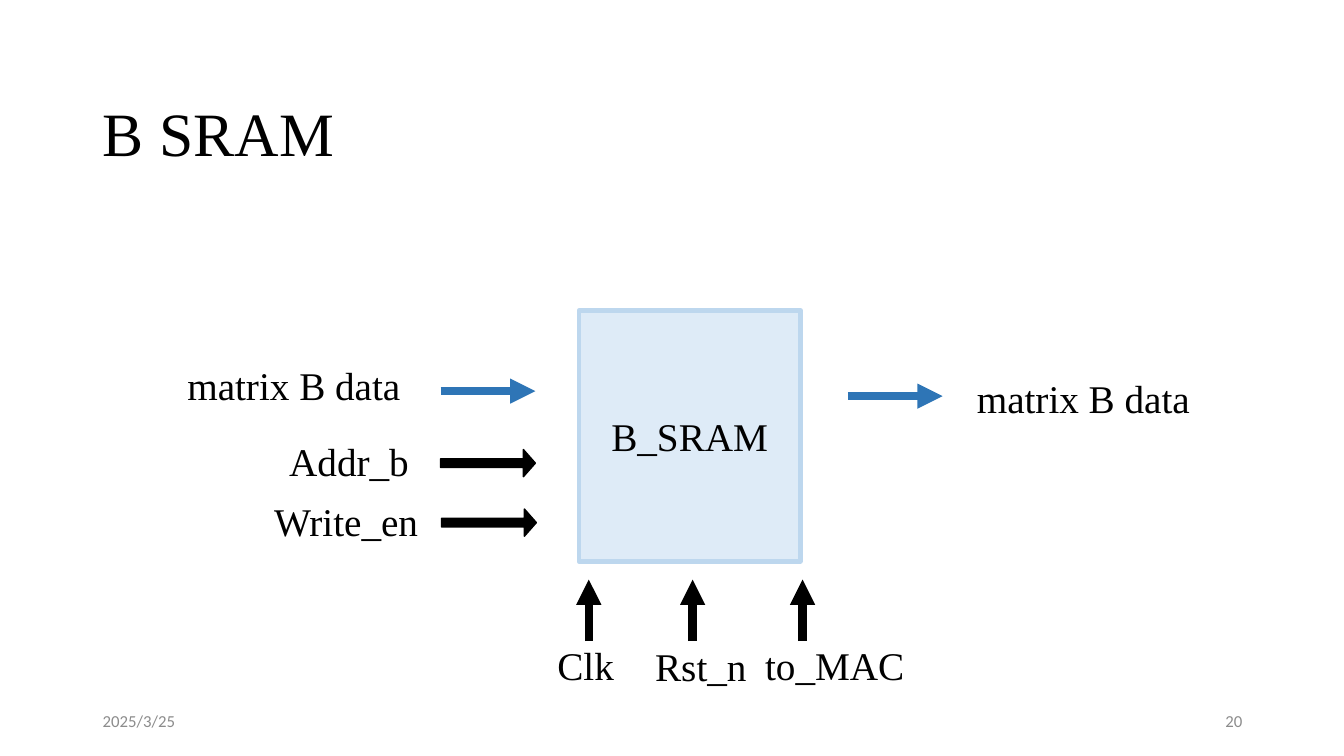
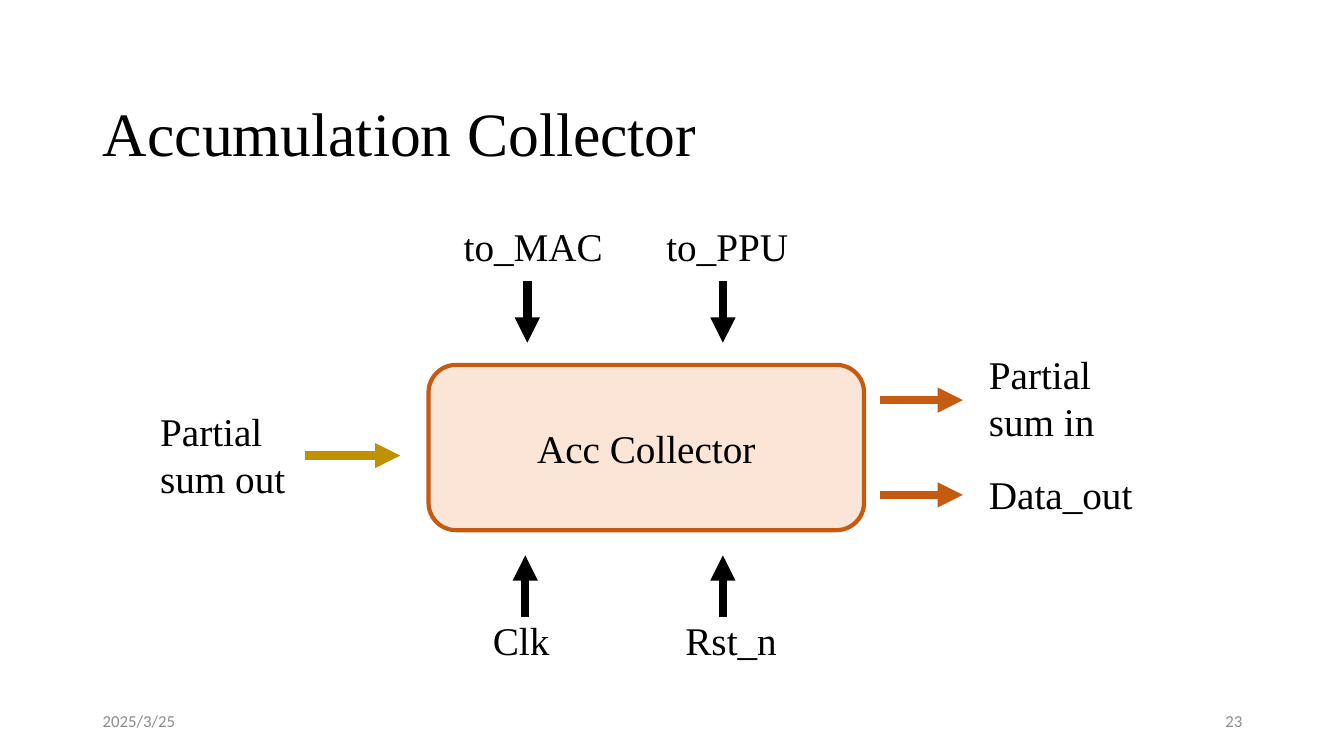
import pptx
import pptx.dml.color
import pptx.enum.shapes
import pptx.enum.text
import pptx.oxml.ns
import pptx.util
from lxml import etree

SHAPE = pptx.enum.shapes.MSO_SHAPE
ANCHOR = pptx.enum.text.MSO_ANCHOR
ALIGN = pptx.enum.text.PP_ALIGN

EMU_PER_PX = 9144
SERIF, SANS = "Times New Roman", "Calibri"
BLACK, GREY = "000000", "8C8C8C"
BLUE, ORANGE, GOLD = "2E75B6", "C55A11", "BF9000"
PALE_BLUE, LIGHT_BLUE, PALE_ORANGE = "DEEBF7", "BDD7EE", "FBE5D6"


def px(*lengths):
    return [pptx.util.Emu(length * EMU_PER_PX) for length in lengths]


def color(hex_string):
    return pptx.dml.color.RGBColor.from_string(hex_string)


class Deck:
    """Holds the shared style and draws elements on the current slide."""

    def __init__(self):
        self.presentation = pptx.Presentation()
        self.presentation.slide_width, self.presentation.slide_height = px(1333, 750)
        self.slide = None

    def set_text(self, shape, text, size=28, font=SERIF, ink=BLACK,
                 align=ALIGN.LEFT, anchor=ANCHOR.TOP):
        frame = shape.text_frame
        frame.text = text
        frame.word_wrap = True
        frame.auto_size = pptx.enum.text.MSO_AUTO_SIZE.NONE
        frame.vertical_anchor = anchor
        paragraph = frame.paragraphs[0]
        paragraph.alignment = align
        paragraph.font.size = pptx.util.Pt(size)
        paragraph.font.name = font
        paragraph.font.color.rgb = color(ink)
        return paragraph

    def add_slide(self, title, number):
        layout = self.presentation.slide_layouts.get_by_name("Title Only")
        self.slide = self.presentation.slides.add_slide(layout)
        shape = self.slide.shapes.title
        shape.left, shape.top, shape.width, shape.height = px(92, 40, 1150, 145)
        paragraph = self.set_text(shape, title, 44, anchor=ANCHOR.MIDDLE)
        paragraph.line_spacing = 1.5
        self.footer("2025/3/25", 92, ALIGN.LEFT)
        self.footer(str(number), 942, ALIGN.RIGHT)

    def footer(self, text, left, align):
        shape = self.slide.shapes.add_textbox(*px(left, 695, 300, 40))
        self.set_text(shape, text, 12, SANS, GREY, align, ANCHOR.MIDDLE)

    def label(self, text, left, top, width, height=57):
        shape = self.slide.shapes.add_textbox(*px(left, top, width, height))
        self.set_text(shape, text)

    def shape(self, kind, box, fill, line, line_width):
        shape = self.slide.shapes.add_shape(kind, *px(*box))
        shape.shadow.inherit = False
        shape.fill.solid()
        shape.fill.fore_color.rgb = color(fill)
        shape.line.color.rgb = color(line)
        shape.line.width = pptx.util.Pt(line_width)
        return shape

    def module(self, text, kind, box, fill, line):
        shape = self.shape(kind, box, fill, line, 3)
        self.set_text(shape, text, align=ALIGN.CENTER, anchor=ANCHOR.MIDDLE)

    def block_arrow(self, left, top):
        shape = self.shape(SHAPE.RIGHT_ARROW, (left, top, 94, 27), BLACK, BLACK, 1)
        shape.adjustments[0], shape.adjustments[1] = 0.32, 0.44

    def arrow(self, start, end, ink=BLACK):
        connector = self.slide.shapes.add_connector(
            pptx.enum.shapes.MSO_CONNECTOR.STRAIGHT, *px(*start, *end))
        connector.line.color.rgb = color(ink)
        connector.line.width = pptx.util.Pt(6)
        qn = pptx.oxml.ns.qn
        etree.SubElement(connector.get_or_add_ln(), qn("a:tailEnd"), type="triangle")
        etree.SubElement(connector.element.spPr, qn("a:effectLst"))

    def right_arrow(self, left, y, length, ink):
        self.arrow((left, y), (left + length, y), ink)

    def down_arrow(self, x, top):
        self.arrow((x, top), (x, top + 61))

    def up_arrow(self, x, top):
        self.arrow((x, top + 61), (x, top))


def build_sram(deck):
    deck.add_slide("B SRAM", 20)
    deck.module("B_SRAM", SHAPE.RECTANGLE, (574, 308, 220, 249), PALE_BLUE, LIGHT_BLUE)

    deck.label("matrix B data", 176, 354, 253)
    deck.right_arrow(437, 388, 94, BLUE)
    deck.label("matrix B data", 959, 366, 246)
    deck.right_arrow(841, 393, 94, BLUE)

    for text, left, top, arrow_left in (("Addr_b", 277, 429, 437),
                                        ("Write_en", 262, 488, 438)):
        deck.label(text, left, top, 186)
        deck.block_arrow(arrow_left, top + 17)

    for text, left, top, width, x in (("Clk", 543, 631, 86, 584),
                                      ("Rst_n", 640, 632, 124, 687),
                                      ("to_MAC", 749, 631, 162, 796)):
        deck.label(text, left, top, width)
        deck.up_arrow(x, 575)


def build_collector(deck):
    deck.add_slide("Accumulation Collector", 23)
    deck.module("Acc Collector", SHAPE.ROUNDED_RECTANGLE, (425, 362, 432, 164),
                PALE_ORANGE, ORANGE)

    deck.label("Partial sum out", 149, 399, 174, 104)
    deck.right_arrow(303, 452, 94, GOLD)

    deck.label("Partial sum in", 971, 343, 147, 104)
    deck.label("Data_out", 971, 462, 185)
    for y in (397, 491):
        deck.right_arrow(873, y, 82, ORANGE)

    for text, left, width, x in (("to_MAC", 450, 168, 523), ("to_PPU", 651, 162, 717)):
        deck.label(text, left, 216, width)
        deck.down_arrow(x, 279)

    for text, left, width, x in (("Clk", 479, 86, 521), ("Rst_n", 670, 124, 717)):
        deck.label(text, left, 607, width)
        deck.up_arrow(x, 551)


def main():
    deck = Deck()
    build_sram(deck)
    build_collector(deck)
    deck.presentation.save("out.pptx")


if __name__ == "__main__":
    main()
